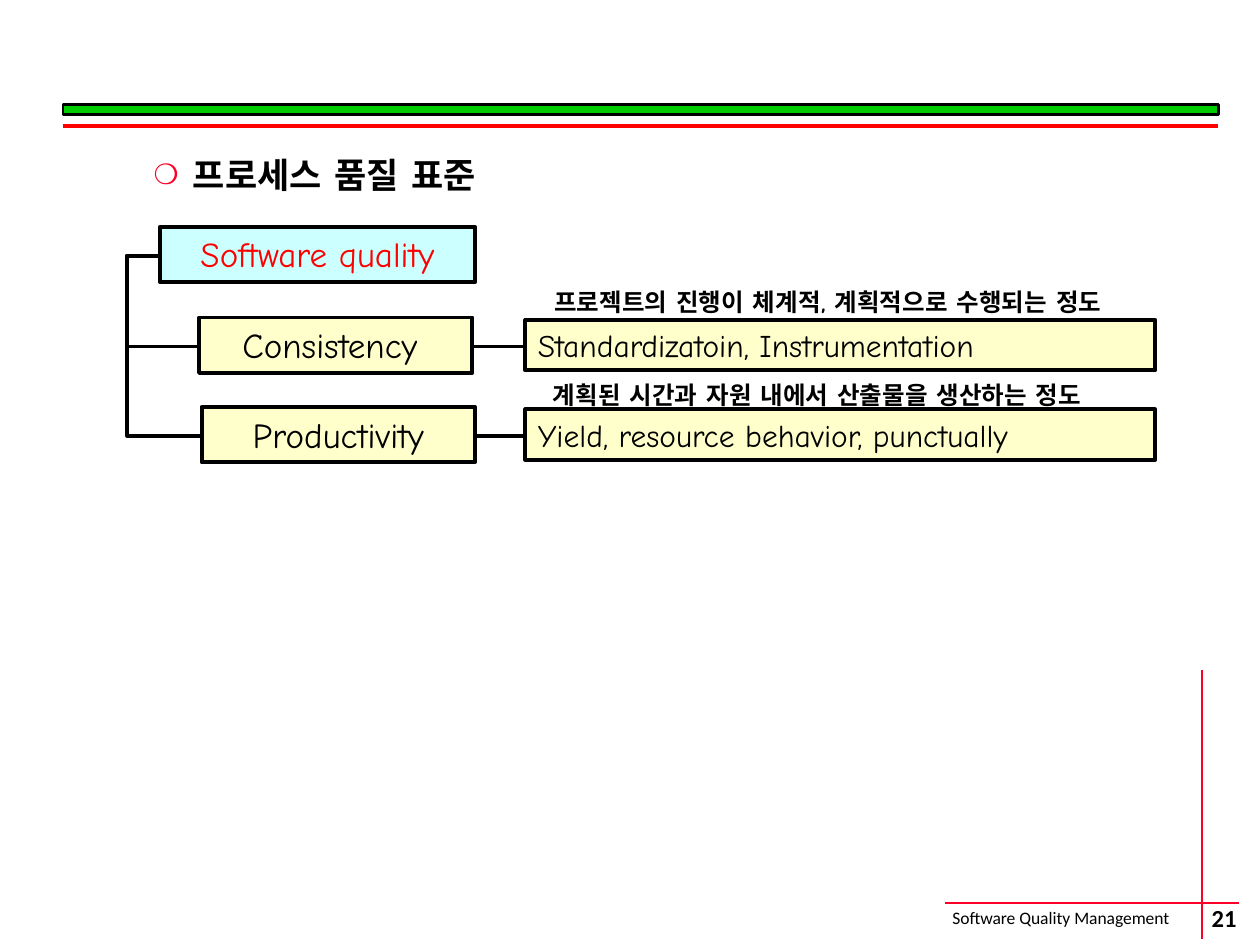
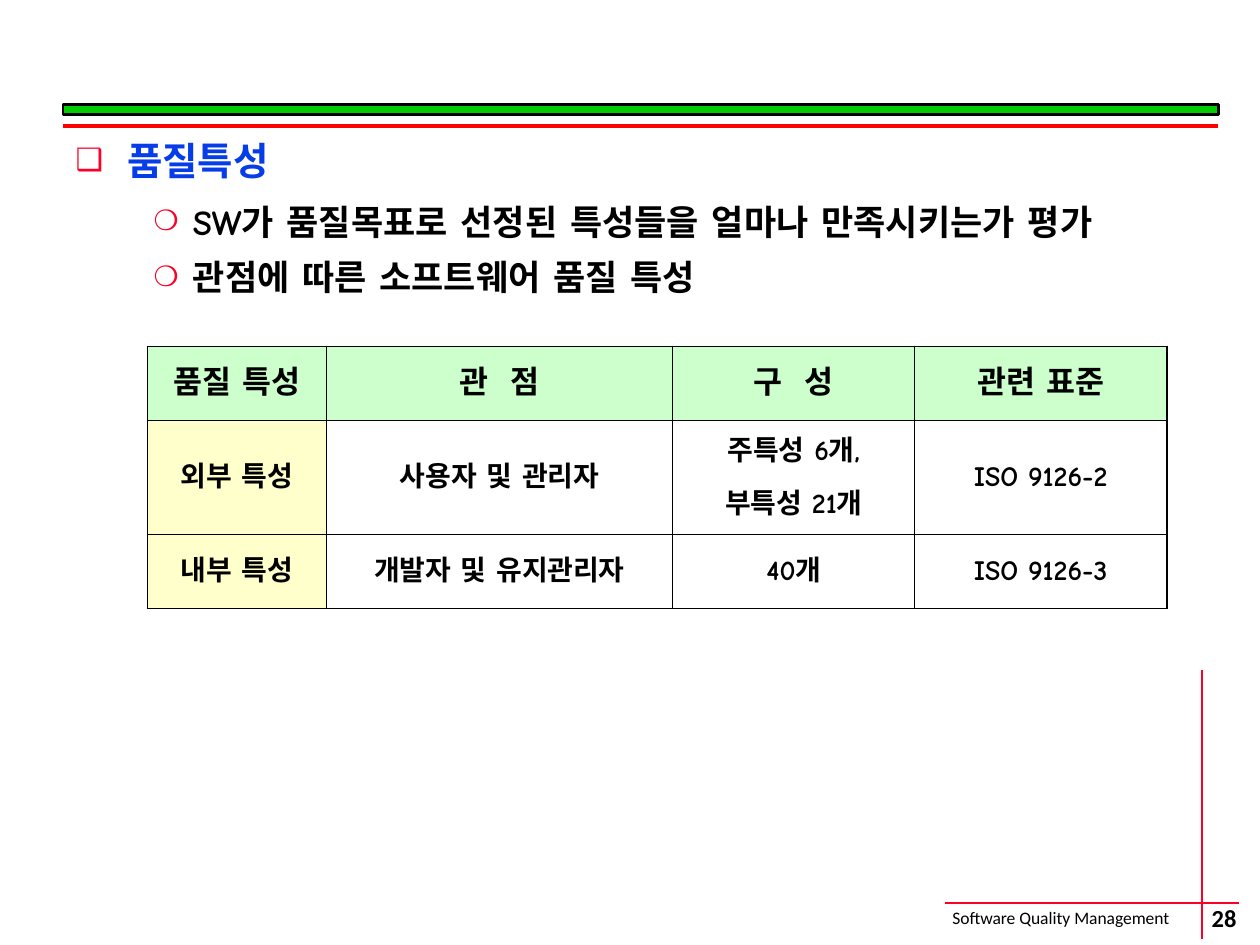
from lxml import etree
from pptx import Presentation
from pptx.dml.color import RGBColor
from pptx.enum.shapes import MSO_CONNECTOR as CONN, MSO_SHAPE as SHAPE
from pptx.enum.text import MSO_ANCHOR as ANCHOR, MSO_AUTO_SIZE as FIT, PP_ALIGN as ALIGN
from pptx.oxml.ns import qn
from pptx.util import Inches, Pt

COLORS = {
    "black": "000000",
    "rule": "FC0128",
    "red": "FF0000",
    "green": "00CC00",
    "blue": "063DE8",
    "cyan": "CCFFFF",
    "cream": "FFFFCC",
    "mint": "CCFFCC",
}
BODY_FONT = "Comic Neue"
FOOTER_FONT = "Calibri"
BULLETS = [("❑", 0.41, -0.41), ("❍", 0.93, -0.31)]
THIN, THICK = 0.45, 1.08


def rgb(name):
    return RGBColor.from_string(COLORS[name])


def add_element(parent, tag, **attrs):
    el = etree.SubElement(parent, qn(tag))
    for key, value in attrs.items():
        el.set(key, str(value))
    return el


class Deck:
    def __init__(self):
        self.prs = Presentation()
        self.prs.slide_width = Inches(10)
        self.prs.slide_height = Inches(7.5)
        self.slide = None

    def new_slide(self, number):
        self.slide = self.prs.slides.add_slide(self.prs.slide_layouts[1])
        title = self.slide.shapes.title
        title.element.getparent().remove(title.element)
        self.text("Software Quality Management", 7.46, 7.15, 2.19, 0.27, 10, font=FOOTER_FONT)
        self.line(9.54, 5.32, 9.54, 7.45, "rule", 1.25)
        self.line(7.5, 7.17, 9.83, 7.17, "rule", 1.25)
        sp = self.text(str(number), 9.22, 7.14, 0.99, 0.28, 14, bold=True,
                       font=FOOTER_FONT, align=ALIGN.CENTER)
        tf = sp.text_frame
        tf.vertical_anchor = ANCHOR.MIDDLE
        tf.margin_left = tf.margin_right = tf.margin_top = tf.margin_bottom = 0
        self.box(0.5, 0.83, 9.17, 0.08, "green", 1.5)
        self.line(0.5, 1, 9.67, 1, "red", 2.25)

    def style(self, p, size, color="black", bold=False, font=BODY_FONT, align=None):
        p.alignment = align
        for r in p.runs:
            r.font.name = font
            r.font.size = Pt(size)
            r.font.bold = bold
            r.font.color.rgb = rgb(color)
            add_element(r._r.get_or_add_rPr(), "a:ea", typeface=font)

    def body(self, items, top, width):
        sp = self.slide.placeholders[1]
        sp.left, sp.top, sp.width, sp.height = map(Inches, (0.5, top, width, 6.02))
        tf = sp.text_frame
        tf.auto_size = FIT.NONE
        for i, (text, level, size, color, spacing) in enumerate(items):
            p = tf.paragraphs[0] if i == 0 else tf.add_paragraph()
            p.text = text
            p.level = level
            char, margin, indent = BULLETS[level]
            pPr = p._p.get_or_add_pPr()
            pPr.set("marL", str(Inches(margin)))
            pPr.set("indent", str(Inches(indent)))
            add_element(add_element(pPr, "a:buClr"), "a:srgbClr", val=COLORS["rule"])
            add_element(pPr, "a:buSzPct", val=80000)
            add_element(pPr, "a:buChar", char=char)
            p.space_before = Pt(7.5 if i else 0)
            p.line_spacing = spacing
            self.style(p, size, color, bold=True)

    def text(self, text, x, y, w, h, size, **style):
        sp = self.slide.shapes.add_textbox(*map(Inches, (x, y, w, h)))
        tf = sp.text_frame
        tf.word_wrap = False
        tf.text = text
        self.style(tf.paragraphs[0], size, **style)
        return sp

    def box(self, x, y, w, h, fill, weight=2.25, text="", size=20, **style):
        sp = self.slide.shapes.add_shape(SHAPE.RECTANGLE, *map(Inches, (x, y, w, h)))
        sp.shadow.inherit = False
        sp.fill.solid()
        sp.fill.fore_color.rgb = rgb(fill)
        sp.line.color.rgb = rgb("black")
        sp.line.width = Pt(weight)
        if text:
            tf = sp.text_frame
            tf.word_wrap = True
            tf.vertical_anchor = ANCHOR.TOP
            tf.text = text
            self.style(tf.paragraphs[0], size, **style)

    def line(self, x1, y1, x2, y2, color="black", weight=2.25, kind=CONN.STRAIGHT):
        cxn = self.slide.shapes.add_connector(kind, *map(Inches, (x1, y1, x2, y2)))
        cxn.line.color.rgb = rgb(color)
        cxn.line.width = Pt(weight)
        add_element(cxn._element.spPr, "a:effectLst")
        return cxn

    def elbow(self, x1, y1, x2, y2, bend_x):
        cxn = self.line(x1, y1, x2, y2, kind=CONN.ELBOW)
        ratio = round((bend_x - x1) / (x2 - x1) * 100000)
        guides = cxn._element.spPr.find(qn("a:prstGeom")).find(qn("a:avLst"))
        add_element(guides, "a:gd", name="adj1", fmla=f"val {ratio}")

    def borders(self, cell, weights):
        tcPr = cell._tc.get_or_add_tcPr()
        for i, (tag, weight) in enumerate(weights.items()):
            ln = etree.Element(qn(f"a:{tag}"), w=str(Pt(weight)))
            add_element(add_element(ln, "a:solidFill"), "a:srgbClr", val=COLORS["black"])
            tcPr.insert(i, ln)

    def table(self, rows, x, y, widths, heights):
        last_row, last_col = len(rows) - 1, len(widths) - 1
        size = map(Inches, (x, y, sum(widths), sum(heights)))
        table = self.slide.shapes.add_table(len(rows), len(widths), *size).table
        table.first_row = table.horz_banding = False
        for col, width in zip(table.columns, widths):
            col.width = Inches(width)
        for i, row in enumerate(rows):
            table.rows[i].height = Inches(heights[i])
            for j, text in enumerate(row):
                cell = table.cell(i, j)
                cell.vertical_anchor = ANCHOR.MIDDLE
                fill = "mint" if i == 0 else "cream" if j == 0 else None
                if fill:
                    cell.fill.solid()
                    cell.fill.fore_color.rgb = rgb(fill)
                else:
                    cell.fill.background()
                cell.text_frame.text = text
                for n, p in enumerate(cell.text_frame.paragraphs):
                    p.space_before = Pt(12 if n else 0)
                    self.style(p, 16 if i else 18, bold=True, align=ALIGN.CENTER)
                self.borders(cell, {
                    "lnL": THIN if j else THICK,
                    "lnR": THICK if j == last_col else THIN,
                    "lnT": THIN if i else THICK,
                    "lnB": THICK if i == last_row else THIN,
                })


def process_standards(deck):
    deck.new_slide(21)
    deck.body([("프로세스 품질 표준", 1, 20, "black", 1.0)], 1.17, 9.17)
    deck.box(1.27, 1.8, 2.5, 0.44, "cyan", text="Software quality", color="red", align=ALIGN.CENTER)
    factors = [
        (1.58, 2.52, "Consistency ", "Standardizatoin, Instrumentation",
         4.3, 2.23, 4.69, "프로젝트의 진행이 체계적, 계획적으로 수행되는 정도"),
        (1.6, 3.23, "Productivity", "Yield, resource behavior, punctually",
         4.29, 2.97, 4.52, "계획된 시간과 자원 내에서 산출물을 생산하는 정도"),
    ]
    for x, y, name, measures, note_x, note_y, note_w, note in factors:
        middle = y + 0.23
        deck.box(x, y, 2.17, 0.44, "cream", text=name, align=ALIGN.CENTER)
        deck.elbow(1.25, 2.03, x, middle, 1.01)
        deck.box(4.17, y + 0.02, 5, 0.4, "cream", text=measures, size=18, align=ALIGN.LEFT)
        deck.line(x + 2.18, middle, 4.15, middle)
        deck.text(note, note_x, note_y, note_w, 0.34, 14, bold=True)


def quality_characteristics(deck):
    deck.new_slide(28)
    deck.body([
        ("품질특성", 0, 22, "blue", 1.1),
        ("SW가 품질목표로 선정된 특성들을 얼마나 만족시키는가 평가", 1, 20, "black", 1.1),
        ("관점에 따른 소프트웨어 품질 특성", 1, 20, "black", 1.0),
    ], 1, 9.5)
    deck.table([
        ("품질 특성", "관  점", "구  성", "관련 표준"),
        ("외부 특성", "사용자 및 관리자", "주특성 6개,\n부특성 21개", "ISO 9126-2"),
        ("내부 특성", "개발자 및 유지관리자", "40개", "ISO 9126-3"),
    ], 1.17, 2.75, (1.42, 2.75, 1.92, 2), (0.59, 0.9, 0.59))


def main():
    deck = Deck()
    process_standards(deck)
    quality_characteristics(deck)
    deck.prs.save("out.pptx")


if __name__ == "__main__":
    main()
